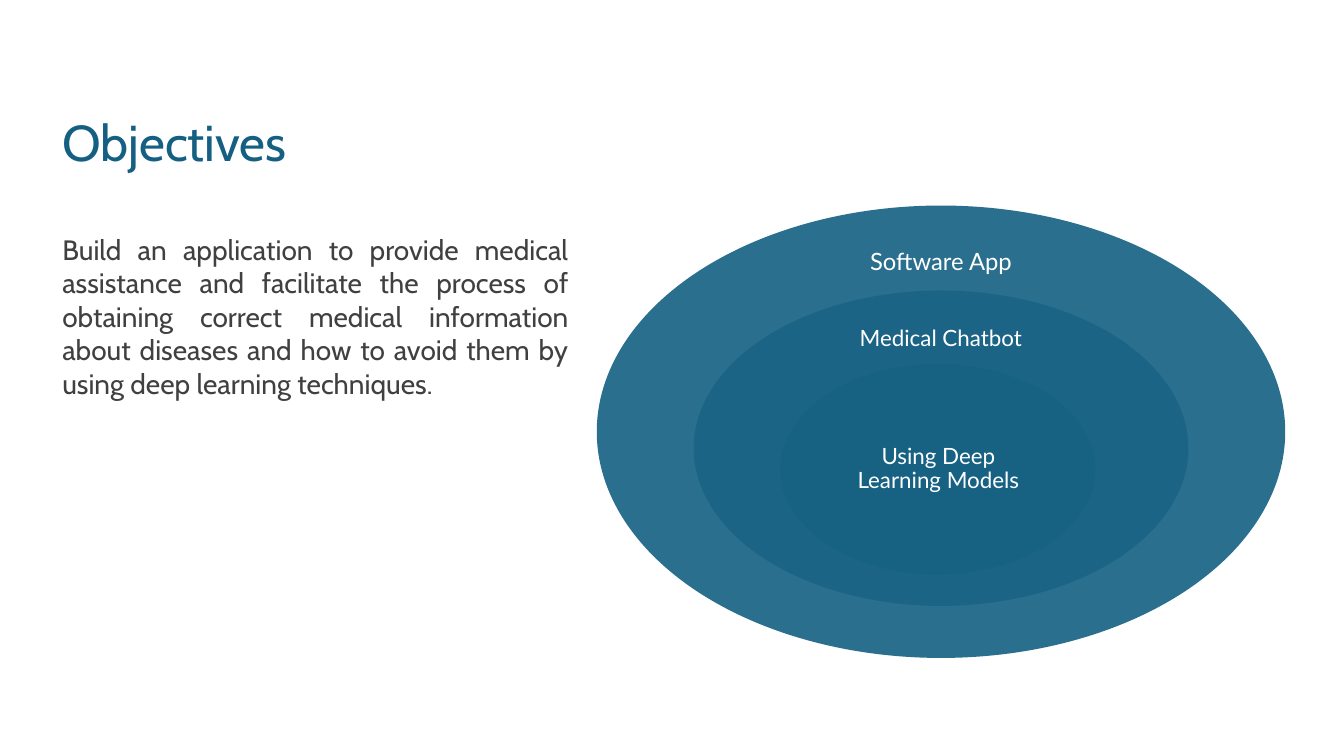
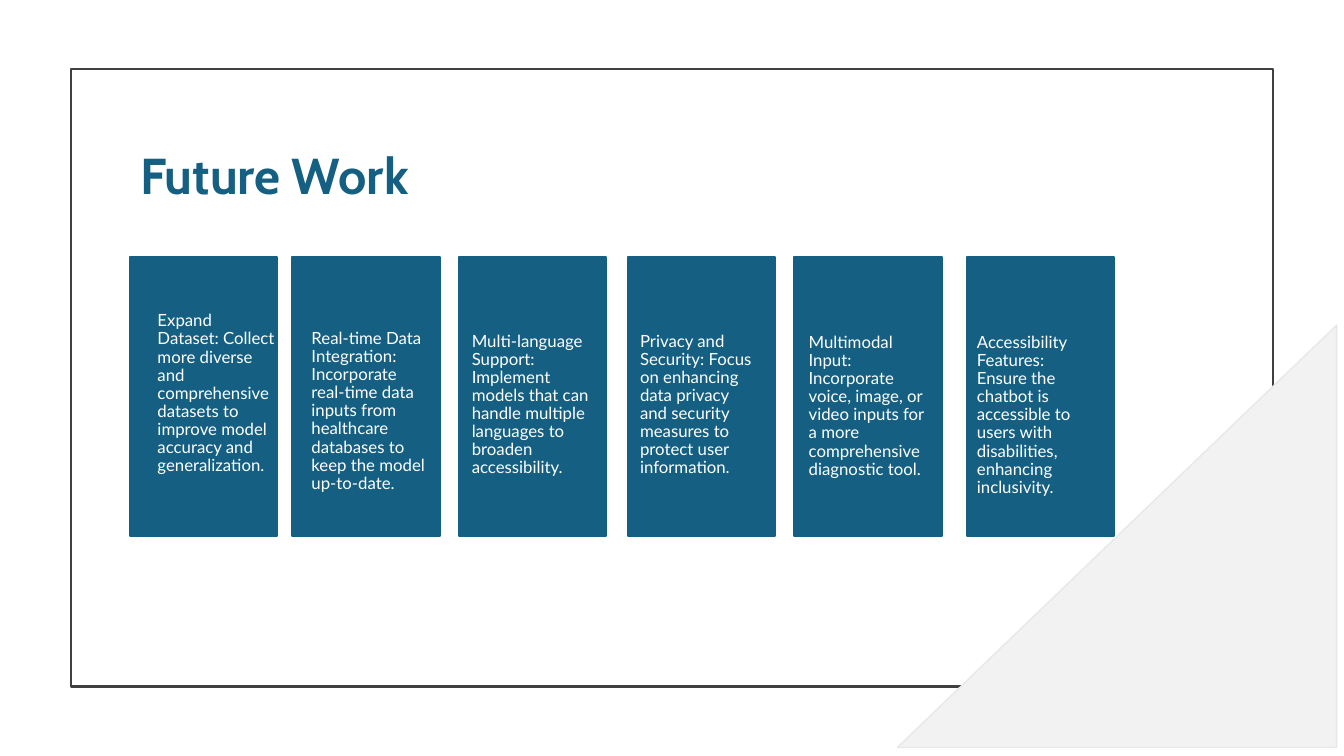
from lxml import etree
from pptx import Presentation
from pptx import util as u
from pptx.dml.color import RGBColor
from pptx.enum import shapes, text
from pptx.oxml.ns import qn

# Shared style
BLUE, DARK, WHITE, PALE, EDGE = "156082", "404040", "FFFFFF", "F2F2F2", "E8E8E8"
TITLE = dict(name="Cabin", size=36, color=BLUE)
BODY = dict(name="Cabin", size=20, color=DARK)
LABEL = dict(name="Lato", size=16, color=WHITE)
CARD = dict(name="Lato", size=12, color=WHITE)
PAD = (0.25, 0.13, 0.25, 0.13)
ALIGN, ANCHOR = text.PP_ALIGN, text.MSO_ANCHOR
SHAPE = shapes.MSO_SHAPE

# Content: places are left, top, width, height in centimetres
GOAL = ("Build an application to provide medical assistance and facilitate the "
        "process of obtaining correct medical information about diseases and how "
        "to avoid them by using deep learning techniques.")
RINGS = [  # ellipse, opacity in percent, label, label place, size, inset
    ((15.04, 5.18, 17.35, 11.4), 90, "Software App", (20.68, 5.77, 6.07, 1.7), 17, 0.33),
    ((17.48, 7.32, 12.47, 7.95), 70, "Medical Chatbot", (20.8, 7.8, 5.82, 1.5), 16, 0.3),
    ((19.66, 9.17, 7.95, 5.31), 50, "Using Deep Learning Models",
     (20.83, 10.49, 5.64, 2.67), 16, 0.3),
]
CARD_TOP, CARD_W, CARD_H, CARD_TEXT_H = 6.48, 3.71, 7.02, 4.2
CARDS = [  # card left, text left, text top, text
    (3.28, 3.61, 7.87, "Expand Dataset: Collect more diverse and comprehensive datasets "
     "to improve model accuracy and generalization."),
    (7.37, 7.49, 8.31, "Real-time Data Integration: Incorporate real-time data inputs from "
     "healthcare databases to keep the model up-to-date."),
    (11.56, 11.53, 8.38, "Multi-language Support: Implement models that can handle multiple "
     "languages to broaden accessibility."),
    (15.82, 15.77, 8.38, "Privacy and Security: Focus on enhancing data privacy and security "
     "measures to protect user information."),
    (20.02, 20.02, 8.41, "Multimodal Input: Incorporate voice, image, or video inputs for a "
     "more comprehensive diagnostic tool."),
    (24.36, 24.26, 8.41, "Accessibility Features: Ensure the chatbot is accessible to users "
     "with disabilities, enhancing inclusivity."),
]


def rgb(value):
    return RGBColor.from_string(value)


def cm(values):
    return [u.Cm(v) for v in values]


def add_shape(s, kind, place, fill=None, line=None, width=1.5, opacity=100):
    sp = s.shapes.add_shape(kind, *cm(place))
    sp.shadow.inherit = False
    if fill:
        sp.fill.solid()
        sp.fill.fore_color.rgb = rgb(fill)
        if opacity < 100:
            color = sp._element.spPr.find(qn("a:solidFill")).find(qn("a:srgbClr"))
            etree.SubElement(color, qn("a:alpha")).set("val", str(opacity * 1000))
    else:
        sp.fill.background()
    if line:
        sp.line.color.rgb = rgb(line)
        sp.line.width = u.Pt(width)
    else:
        sp.line.fill.background()
    return sp


def add_text(s, place, words, style, align=ALIGN.LEFT, anchor=ANCHOR.TOP,
             insets=PAD, spacing=1.0):
    tf = s.shapes.add_textbox(*cm(place)).text_frame
    tf.word_wrap = True
    tf.vertical_anchor = anchor
    for side, inset in zip(("left", "top", "right", "bottom"), cm(insets)):
        setattr(tf, f"margin_{side}", inset)
    p = tf.paragraphs[0]
    p.alignment, p.line_spacing = align, spacing
    r = p.add_run()
    r.text = words
    for key, value in style.items():
        if key == "color":
            r.font.color.rgb = rgb(value)
        else:
            setattr(r.font, key, u.Pt(value) if key == "size" else value)


def objectives(s):
    add_text(s, (1.32, 2.67, 10.03, 1.8), "Objectives", TITLE)
    add_text(s, (1.32, 5.72, 13.26, 9.37), GOAL, BODY, align=ALIGN.JUSTIFY)
    # Nested ellipses with their labels
    for place, opacity, label, label_place, size, inset in RINGS:
        add_shape(s, SHAPE.OVAL, place, BLUE, opacity=opacity)
        add_text(s, label_place, label, {**LABEL, "size": size}, ALIGN.CENTER,
                 ANCHOR.MIDDLE, (inset,) * 4, 0.9)


def future_work(s):
    add_shape(s, SHAPE.RECTANGLE, (1.78, 1.73, 30.3, 15.57), line=DARK)
    add_text(s, (3.28, 2.24, 22.43, 4.5), "Future Work", {**TITLE, "bold": True},
             anchor=ANCHOR.MIDDLE, spacing=0.9)
    # Row of cards
    for left, text_left, text_top, words in CARDS:
        add_shape(s, SHAPE.RECTANGLE, (left, CARD_TOP, CARD_W, CARD_H), BLUE, BLUE)
        add_text(s, (text_left, text_top, CARD_W, CARD_TEXT_H), words, CARD,
                 insets=(0.36, 0, 0.36, 0.91), spacing=0.9)
    # Corner triangle
    corner = add_shape(s, SHAPE.RIGHT_TRIANGLE, (22.83, 7.98, 10.64, 11.07),
                       PALE, EDGE, width=1)
    corner.rotation = 270


def main():
    prs = Presentation()
    prs.slide_width, prs.slide_height = cm((33.87, 19.05))
    for build in (objectives, future_work):
        build(prs.slides.add_slide(prs.slide_layouts[6]))
    prs.save("out.pptx")


if __name__ == "__main__":
    main()
